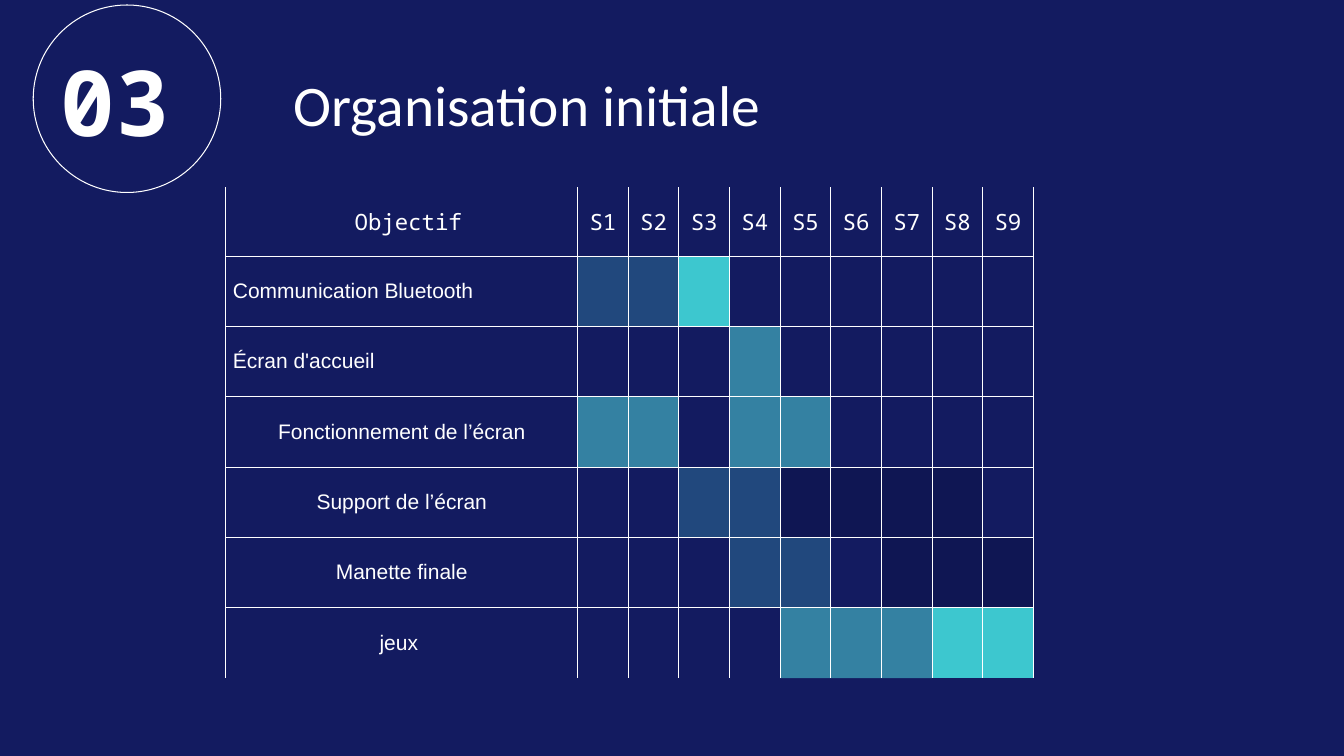
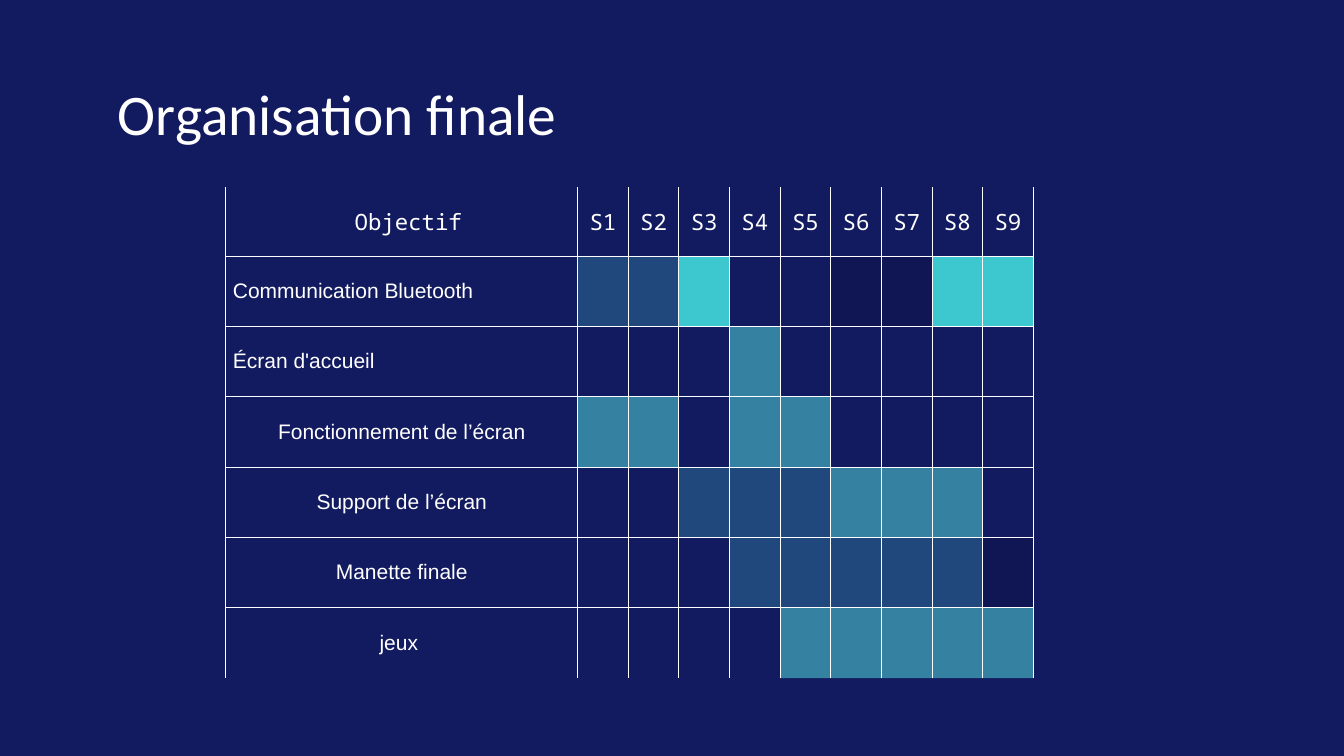
from lxml import etree
from pptx import Presentation, util as u
from pptx.dml.color import RGBColor
from pptx.enum import shapes, text
from pptx.oxml.ns import qn

LEFT, MID = text.PP_ALIGN.LEFT, text.PP_ALIGN.CENTER
TOP, BASE = text.MSO_ANCHOR.TOP, text.MSO_ANCHOR.BOTTOM

THEME = {
    "back": "131B60",
    "ink": "FFFFFF",
    "line": 0.75,
    "title": {"name": "Calibri", "size": 41},
    "number": {"name": "Noto Sans Mono", "size": 65, "bold": True},
    "head": {"name": "Noto Sans Mono", "size": 16},
    "task": {"name": "Arial", "size": 15},
    "fills": {"a": ("5DFEF4", 20), "b": ("5DFEF4", 45),
              "c": ("3DC7CF", 100), "d": ("0F1653", 100)},
}

HEADS = ["Objectif"] + [f"S{n}" for n in range(1, 10)]
TASKS = [
    ("Communication Bluetooth ", LEFT),
    ("Écran d'accueil", LEFT),
    ("Fonctionnement de l’écran", MID),
    ("Support de l’écran", MID),
    ("Manette finale", MID),
    ("jeux ", MID),
]
PLANS = [
    {
        "title": "Organisation initiale", "at": (278, 56, 1125, 84), "number": "03",
        "weeks": ["aac......", "...b.....", "bb.bb....",
                  "..aadddd.", "...aa.ddd", "....bbbcc"],
    },
    {
        "title": "Organisation finale", "at": (104, 65, 1125, 84), "number": None,
        "weeks": ["aac..ddcc", "...b.....", "bb.bb....",
                  "..aaabbb.", "...aaaaad", "....bbbbb"],
    },
]
RING = (33, 5, 186, 186)
DIGITS = (47, 30, 158, 137)
TABLE = (224, 186, 801, 487)
FIRST_COL, FIRST_ROW = 349, 68
INSET = 13
PAD = 7


def px(n):
    return u.Emu(round(n * 9144))


def box(spot):
    return [px(n) for n in spot]


def setup(item, **values):
    for key, value in values.items():
        setattr(item, key, value)


def margins(item, left, rest):
    sides = ("left", "top", "right", "bottom")
    setup(item, **{f"margin_{s}": px(left if s == "left" else rest) for s in sides})


def write(frame, words, style, align=LEFT):
    para = frame.paragraphs[0]
    para.alignment = align
    run = para.add_run()
    run.text = words
    setup(run.font, **{**style, "size": u.Pt(style["size"])})
    run.font.color.rgb = RGBColor.from_string(THEME["ink"])


def label(slide, spot, words, style, anchor):
    frame = slide.shapes.add_textbox(*box(spot)).text_frame
    setup(frame, word_wrap=True, vertical_anchor=anchor)
    margins(frame, INSET, INSET)
    write(frame, words, style)


def paint(cell, mark):
    if mark not in THEME["fills"]:
        cell.fill.background()
        return
    color, share = THEME["fills"][mark]
    cell.fill.solid()
    cell.fill.fore_color.rgb = RGBColor.from_string(color)
    if share < 100:
        tint = cell._tc.tcPr.find(".//" + qn("a:srgbClr"))
        etree.SubElement(tint, qn("a:alpha"), val=str(share * 1000))


def border(cell, bare):
    for spot, side in enumerate("LRTB"):
        line = etree.Element(qn(f"a:ln{side}"), w=str(u.Pt(THEME["line"])))
        if side == bare:
            etree.SubElement(line, qn("a:noFill"))
        else:
            fill = etree.SubElement(line, qn("a:solidFill"))
            etree.SubElement(fill, qn("a:srgbClr"), val=THEME["ink"])
        cell._tc.tcPr.insert(spot, line)


def chart(slide, weeks):
    rows, cols = len(TASKS) + 1, len(HEADS)
    table = slide.shapes.add_table(rows, cols, *box(TABLE)).table
    setup(table, first_row=False, horz_banding=False)
    for n, col in enumerate(table.columns):
        col.width = px((TABLE[2] - FIRST_COL) / (cols - 1) if n else FIRST_COL)
    for n, row in enumerate(table.rows):
        row.height = px((TABLE[3] - FIRST_ROW) / (rows - 1) if n else FIRST_ROW)
    for r in range(rows):
        for c in range(cols):
            cell = table.cell(r, c)
            cell.vertical_anchor = text.MSO_ANCHOR.MIDDLE
            paint(cell, weeks[r - 1][c - 1] if r and c else None)
            border(cell, {0: "T", rows - 1: "B"}.get(r))
            if r == 0:
                margins(cell, 0 if c else INSET, 0)
                write(cell.text_frame, HEADS[c], THEME["head"], MID)
            elif c == 0:
                margins(cell, PAD, PAD)
                words, align = TASKS[r - 1]
                write(cell.text_frame, words, THEME["task"], align)


def badge(slide, number):
    ring = slide.shapes.add_shape(shapes.MSO_SHAPE.OVAL, *box(RING))
    ring.shadow.inherit = False
    ring.fill.background()
    ring.line.width = u.Pt(THEME["line"])
    ring.line.color.rgb = RGBColor.from_string(THEME["ink"])
    label(slide, DIGITS, number, THEME["number"], BASE)


def main():
    deck = Presentation()
    setup(deck, slide_width=px(1333), slide_height=px(750))
    for plan in PLANS:
        slide = deck.slides.add_slide(deck.slide_layouts[6])
        slide.background.fill.solid()
        slide.background.fill.fore_color.rgb = RGBColor.from_string(THEME["back"])
        label(slide, plan["at"], plan["title"], THEME["title"], TOP)
        chart(slide, plan["weeks"])
        if plan["number"]:
            badge(slide, plan["number"])
    deck.save("out.pptx")


if __name__ == "__main__":
    main()
